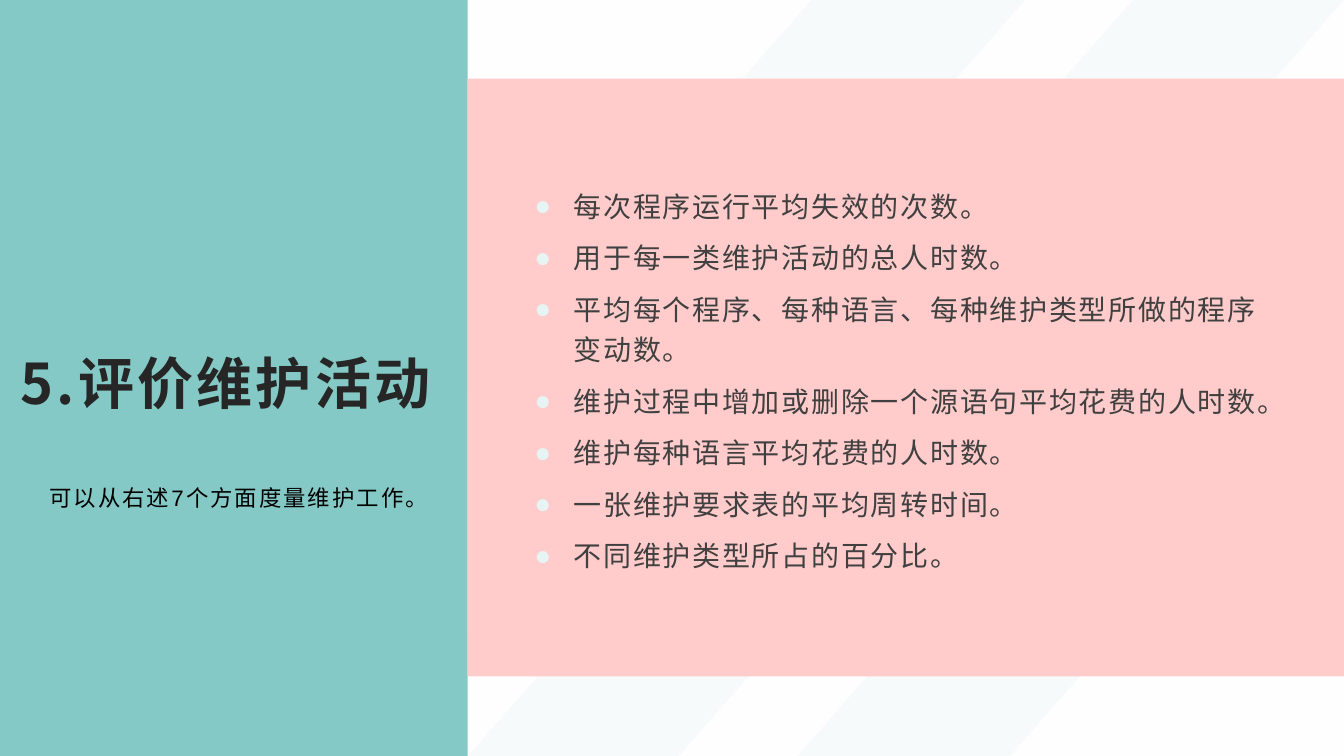
"""Build the slide on measuring maintenance activities."""
from lxml.etree import SubElement
from pptx import Presentation
from pptx.dml.color import RGBColor
from pptx.enum.shapes import MSO_SHAPE
from pptx.enum.text import MSO_ANCHOR, MSO_AUTO_SIZE, PP_ALIGN
from pptx.oxml.ns import qn
from pptx.util import Inches, Pt

WIDE, HIGH = Inches(13.333), Inches(7.5)
EDGE = 34.8
SANS = "Noto Sans CJK SC"
TEAL, PINK, MINT = "84C9C5", "FFCBCB", "E6F4F3"
BANDS = [
    [(60.38, 0), (76.28, 0), (EDGE, 84), (EDGE, 51.87)],
    [(100, 17.6), (100, 49.6), (75.15, 100), (59.33, 100)],
]
ITEMS = [
    "每次程序运行平均失效的次数。",
    "用于每一类维护活动的总人时数。",
    "平均每个程序、每种语言、每种维护类型所做的程序变动数。",
    "维护过程中增加或删除一个源语句平均花费的人时数。",
    "维护每种语言平均花费的人时数。",
    "一张维护要求表的平均周转时间。",
    "不同维护类型所占的百分比。",
]


def spot(x, y):
    return round(WIDE * x / 100), round(HIGH * y / 100)


def paint(fill, color):
    fill.solid()
    fill.fore_color.rgb = RGBColor.from_string(color)


def finish(shape, color, alpha=None):
    shape.shadow.inherit = False
    paint(shape.fill, color)
    shape.line.fill.background()
    if alpha is not None:
        tone = shape.element.spPr.find(qn("a:solidFill")).find(qn("a:srgbClr"))
        SubElement(tone, qn("a:alpha")).set("val", str(alpha * 1000))


def panel(slide, kind, box, color, alpha=None):
    shape = slide.shapes.add_shape(kind, *spot(*box[:2]), *spot(*box[2:]))
    finish(shape, color, alpha)
    return shape


def band(slide, points):
    start, *rest = [spot(*point) for point in points]
    pen = slide.shapes.build_freeform(*start)
    pen.add_line_segments(rest, close=True)
    finish(pen.convert_to_shape(), MINT, 30)


def write(shape, lines, size, color, font, gap, sides, ends, anchor, bold=False):
    frame = shape.text_frame
    frame.text = "\n".join(lines)
    frame.word_wrap = True
    frame.auto_size = MSO_AUTO_SIZE.NONE
    frame.vertical_anchor = anchor
    frame.margin_left = frame.margin_right = Inches(sides)
    frame.margin_top = frame.margin_bottom = Inches(ends)
    for para in frame.paragraphs:
        para.alignment = PP_ALIGN.LEFT
        for run in para.runs:
            run.font.name, run.font.size, run.font.bold = font, Pt(size), bold
            paint(run.font.fill, color)
            props = run.font._element
            props.set("spc", str(round(gap * 100)))
            SubElement(props, qn("a:ea")).set("typeface", font)
    return frame.paragraphs


def textbox(slide, box):
    return slide.shapes.add_textbox(*spot(*box[:2]), *spot(*box[2:]))


def bullet(para):
    para.space_after = Pt(8)
    props = para._p.get_or_add_pPr()
    props.set("marL", str(Inches(0.39)))
    props.set("indent", str(-Inches(0.39)))
    tone = SubElement(props, qn("a:buClr"))
    SubElement(tone, qn("a:srgbClr")).set("val", MINT)
    SubElement(props, qn("a:buFont")).set("typeface", "Arial")
    SubElement(props, qn("a:buChar")).set("char", "●")


def heading(slide, box, text):
    title = slide.shapes.title
    title.left, title.top = spot(*box[:2])
    title.width, title.height = spot(*box[2:])
    write(title, [text], 40, "262626", SANS, 2.4, 0.07, 0, MSO_ANCHOR.BOTTOM, True)
    title.element.getparent().append(title.element)


def main():
    deck = Presentation()
    deck.slide_width, deck.slide_height = WIDE, HIGH
    slide = deck.slides.add_slide(deck.slide_layouts[5])
    paint(slide.background.fill, "FFFEFE")

    panel(slide, MSO_SHAPE.RECTANGLE, (0, 0, EDGE, 100), TEAL)
    for points in BANDS:
        band(slide, points)
    slant = panel(slide, MSO_SHAPE.PARALLELOGRAM, (EDGE, 0, 100 - EDGE, 100), MINT, 30)
    slant.adjustments[0] = 0.88
    panel(slide, MSO_SHAPE.RECTANGLE, (EDGE, 10.4, 100 - EDGE, 79.07), PINK)

    note = textbox(slide, (2.93, 62.67, 28.95, 6.67))
    for para in write(note, ["可以从右述7个方面度量维护工作。"], 16, "000000",
                      "Arial", 1.5, 0.1, 0.05, MSO_ANCHOR.TOP):
        para.line_spacing = 1.2
    body = textbox(slide, (39.23, 16.4, 56.7, 67.07))
    for para in write(body, ITEMS, 20, "404040", SANS, 1.2, 0.07, 0, MSO_ANCHOR.MIDDLE):
        para.line_spacing = 1.2
        bullet(para)
    heading(slide, (0.98, 24.27, 33.82, 30.67), "5.评价维护活动")
    deck.save("out.pptx")


if __name__ == "__main__":
    main()
